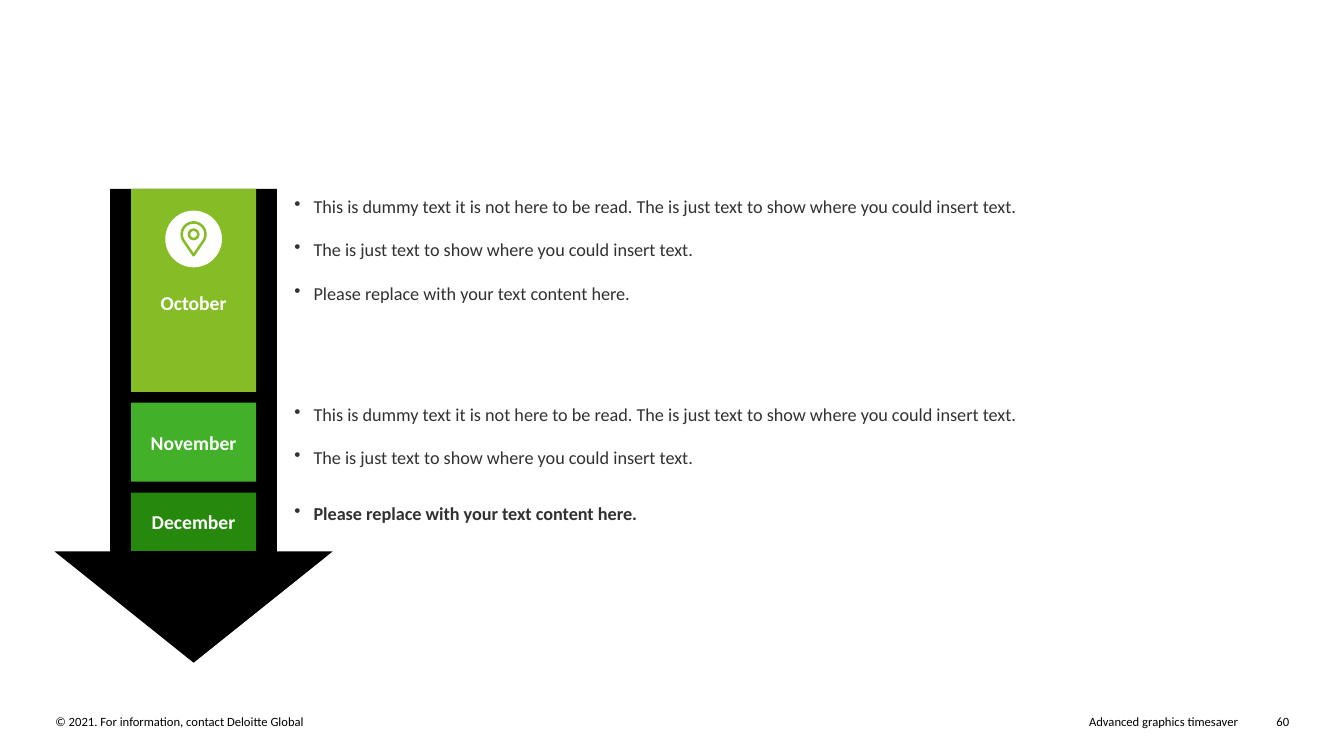
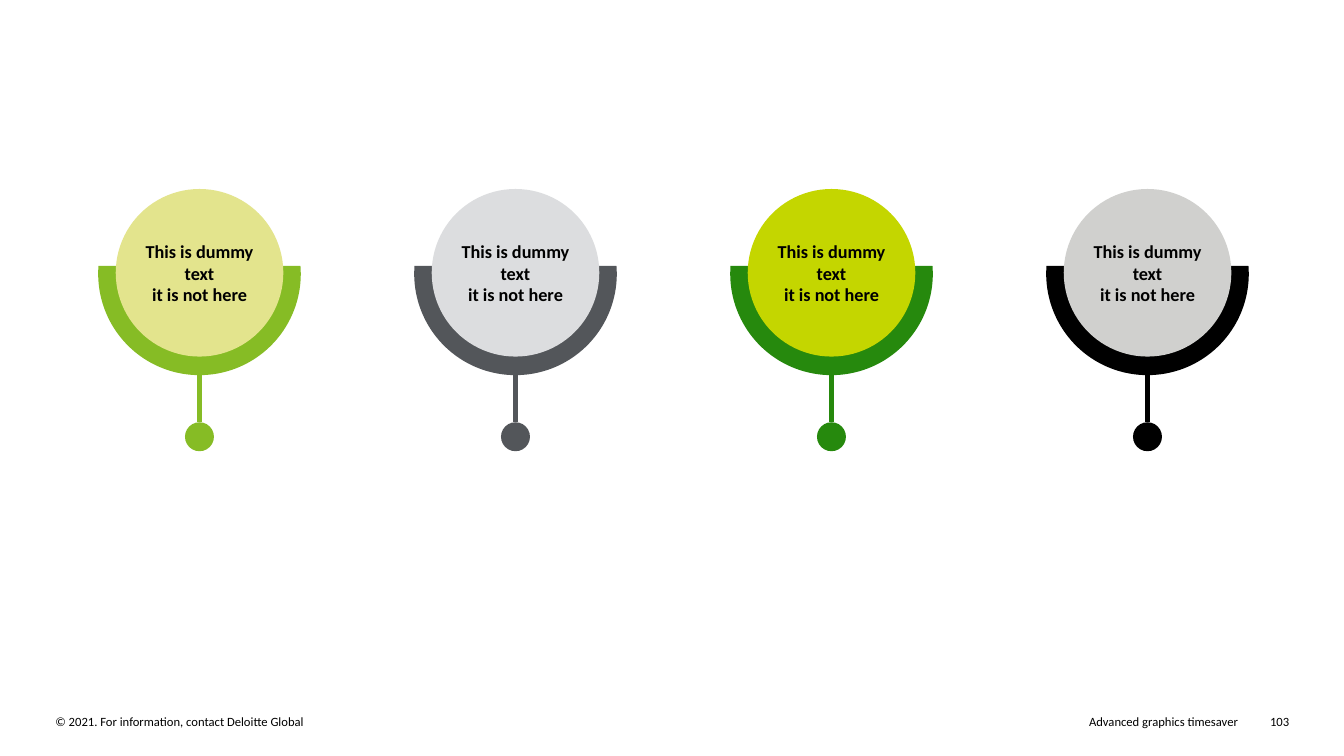
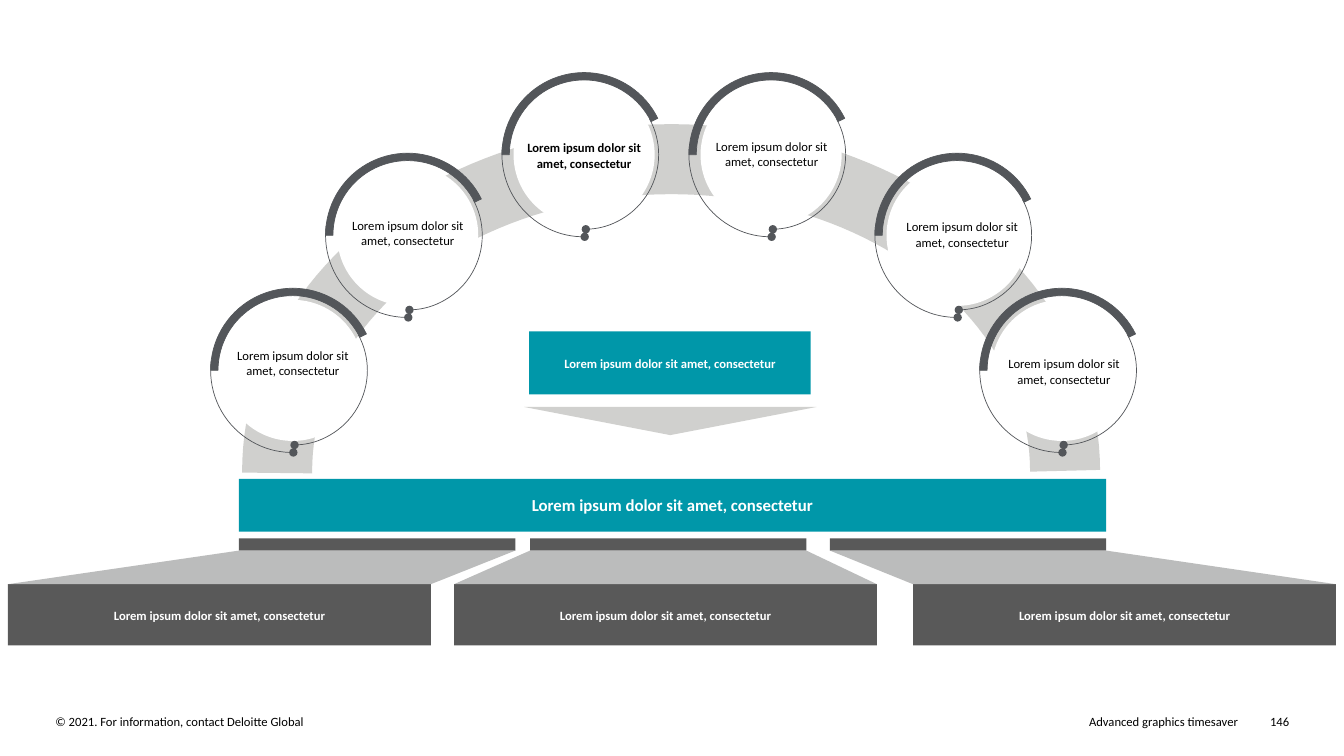
from math import acos, cos, degrees, radians, sin

from lxml import etree
from pptx import Presentation, util as u
from pptx.dml.color import RGBColor
from pptx.enum import shapes, text
from pptx.oxml.ns import qn

# Square grid cells: 160 columns by 90 rows fill the slide.
COLUMNS, ROWS = 160, 90
SLIDE_WIDTH = u.Inches(13.333)
CELL = SLIDE_WIDTH / COLUMNS
PAGE_TOP = 22.5
SHAPE = shapes.MSO_SHAPE
ANCHOR = text.MSO_ANCHOR
ALIGN = text.PP_ALIGN

COLOURS = {
    "black": "000000", "white": "FFFFFF", "ink": "313131",
    "lime": "86BC25", "green": "43B02A", "forest": "26890D",
    "pale lime": "E3E48D", "acid": "C4D600", "teal": "0097A9",
    "slate": "53565A", "charcoal": "595959", "mist": "DCDDDF",
    "silver": "D0D0CE", "ash": "BBBCBC",
}
LOREM = "Lorem ipsum dolor sit amet, consectetur"
DUMMY = [
    "This is dummy text it is not here to be read. The is just text to show where you could insert text.",
    "The is just text to show where you could insert text.",
    "Please replace with your text content here.",
]


def cells(*counts):
    return [u.Emu(round(count * CELL)) for count in counts]


def colour(name):
    return RGBColor.from_string(COLOURS[name])


def assign(target, values):
    for name, value in values.items():
        setattr(target, name, value)


def paint(shape, fill=None, line=None, weight=0.5):
    shape.shadow.inherit = False
    if fill:
        shape.fill.solid()
        shape.fill.fore_color.rgb = colour(fill)
    else:
        shape.fill.background()
    if line:
        shape.line.color.rgb = colour(line)
        shape.line.width = u.Pt(weight)
    else:
        shape.line.fill.background()
    return shape


def preset(page, kind, left, top, width, height, adjust=(), **style):
    shape = page.shapes.add_shape(kind, *cells(left, top, width, height))
    for index, value in enumerate(adjust):
        shape.adjustments[index] = value
    return paint(shape, **style)


def centred(page, kind, x, y, size, adjust=(), **style):
    """Add a preset shape of equal width and height around a centre."""
    return preset(page, kind, x - size / 2, y - size / 2, size, size, adjust, **style)


def outline(page, points, close=True, **style):
    corners = [cells(*point) for point in points]
    builder = page.shapes.build_freeform(*corners[0])
    builder.add_line_segments(corners[1:], close=close)
    return paint(builder.convert_to_shape(), **style)


def curve(x, y, radius_x, radius_y, start, end, steps=90):
    """Return points on an ellipse, clockwise, with angles in degrees."""
    angles = [radians(start + (end - start) * step / steps) for step in range(steps + 1)]
    return [(x + radius_x * cos(angle), y + radius_y * sin(angle)) for angle in angles]


def add_bullet(para):
    properties = para._p.get_or_add_pPr()
    indent = u.Inches(0.19)
    properties.set("marL", str(indent))
    properties.set("indent", str(-indent))
    etree.SubElement(properties, qn("a:buChar")).set("char", "•")


def write(shape, lines, size, ink="black", bold=False, align=ALIGN.CENTER,
          anchor=ANCHOR.MIDDLE, inset=0.0, inset_top=None, leading=None,
          gap=0, bullets=False):
    margin = u.Inches(inset)
    frame = shape.text_frame
    assign(frame, {
        "word_wrap": True, "vertical_anchor": anchor,
        "margin_left": margin, "margin_right": margin, "margin_bottom": margin,
        "margin_top": margin if inset_top is None else u.Inches(inset_top),
    })
    for index, line in enumerate(lines):
        para = frame.add_paragraph() if index else frame.paragraphs[0]
        if bullets:
            add_bullet(para)
        para.alignment = align
        if leading:
            para.line_spacing = leading
        if index and gap:
            para.space_before = u.Pt(gap)
        span = para.add_run()
        span.text = line
        assign(span.font, {"name": "Calibri", "size": u.Pt(size), "bold": bold})
        span.font.color.rgb = colour(ink)


def textbox(page, left, top, width, height, lines, size, **style):
    box = page.shapes.add_textbox(*cells(left, top, width, height))
    write(box, lines, size, anchor=ANCHOR.TOP, **style)


def label(page, left, top, width, height, fill, line, size, **style):
    """Add a filled rectangle with bold white text."""
    box = preset(page, SHAPE.RECTANGLE, left, top, width, height, fill=fill)
    write(box, [line], size, ink="white", bold=True, inset=0.1, **style)


def connector(page, start, end, line, weight):
    link = page.shapes.add_connector(shapes.MSO_CONNECTOR.STRAIGHT, *cells(*start, *end))
    link.line.color.rgb = colour(line)
    link.line.width = u.Pt(weight)
    etree.SubElement(link._element.spPr, qn("a:effectLst"))


def add_page(deck, number):
    page = deck.slides.add_slide(deck.slide_layouts[6])
    footers = [
        (6.6, 70.3, "© 2021. For information, contact Deloitte Global", ALIGN.LEFT),
        (83.16, 64.2, "Advanced graphics timesaver", ALIGN.RIGHT),
        (149.4, 4.08, str(number), ALIGN.RIGHT),
    ]
    for left, width, line, align in footers:
        textbox(page, left, 85, width, 1.8, [line], 9, align=align)
    return page


def pin_icon(page, x, y):
    centred(page, SHAPE.OVAL, x, y, 6.75, fill="white")
    head_y, radius, tip = y - 0.55, 1.41, 2.5
    spread = degrees(acos(radius / tip))
    points = curve(x, head_y, radius, radius, 90 + spread, 450 - spread, 40)
    outline(page, points + [(x, head_y + tip)], line="lime", weight=1.8)
    centred(page, SHAPE.OVAL, x, head_y, 1.12, line="lime", weight=1.8)


def timeline_page(deck):
    page = add_page(deck, 60)
    axis = 23.05
    arrow_width, month_width, month_gap = 33.1, 14.9, 1.3
    preset(page, SHAPE.DOWN_ARROW, axis - arrow_width / 2, PAGE_TOP, arrow_width, 56.4,
           (0.6, 0.4), fill="black")
    months = [
        ("October", 24.15, "lime", 0.34, DUMMY, 23.28, False),
        ("November", 9.4, "green", 0.1, DUMMY[:2], 48, False),
        ("December", 6.95, "forest", 0.1, DUMMY[2:], 59.76, True),
    ]
    top = PAGE_TOP
    for name, height, fill, inset_top, notes, notes_top, bold in months:
        label(page, axis - month_width / 2, top, month_width, height, fill, name, 14,
              inset_top=inset_top)
        textbox(page, 35.04, notes_top, 118.8, 5.23 * len(notes) - 2.6, notes, 13,
                ink="ink", bold=bold, align=ALIGN.LEFT, gap=15.25, bullets=True)
        top += height + month_gap
    pin_icon(page, axis, 28.45)


def pendant(page, x, strong, light):
    """Add a disc in a bowl, with a stem and a dot below."""
    bowl, bowl_y, disc, dot, dot_y, tilt = 24.12, 32.6, 19.95, 3.45, 52, 4.45
    bowl_bottom = bowl_y + bowl / 2
    rim = [angle * 0.6 for angle in (360 - tilt, 180 + tilt)]
    centred(page, SHAPE.CHORD, x, bowl_y, bowl, rim, fill=strong)
    face = centred(page, SHAPE.OVAL, x, PAGE_TOP + disc / 2, disc, fill=light)
    write(face, ["This is dummy text", "it is not here"], 13, bold=True)
    centred(page, SHAPE.OVAL, x, dot_y, dot, fill=strong)
    connector(page, (x, bowl_bottom), (x, dot_y - dot / 2), strong, 3)


def pendants_page(deck):
    page = add_page(deck, 103)
    pairs = [("lime", "pale lime"), ("slate", "mist"), ("forest", "acid"), ("black", "silver")]
    for index, (strong, light) in enumerate(pairs):
        pendant(page, 23.75 + 37.62 * index, strong, light)


def dotted_arc(page, x, y, size, adjust, end):
    arc = centred(page, SHAPE.ARC, x, y, size, adjust, line="slate")
    etree.SubElement(arc.line._get_or_add_ln(), qn(end)).set("type", "oval")


def station(page, x, y):
    ring = 19.56
    centred(page, SHAPE.OVAL, x, y, 16.8, fill="white")
    centred(page, SHAPE.BLOCK_ARC, x, y, ring, (108, 200.22, 0.045), fill="slate", line="slate")
    dotted_arc(page, x, y, 17.76, (198.89, 53.19), "a:tailEnd")
    dotted_arc(page, x, y, ring, (53.75, 112.01), "a:headEnd")


def plinth(page, cap_left, base_left):
    """Add a narrow cap, a wide labelled base and the slope between them."""
    cap_top, cap_bottom, base_top = 64.1, 65.55, 69.55
    cap_width, base_width = 32.9, 50.35
    preset(page, SHAPE.RECTANGLE, cap_left, cap_top, cap_width, cap_bottom - cap_top,
           fill="charcoal")
    label(page, base_left, base_top, base_width, 7.3, "charcoal", LOREM, 9, leading=1.06)
    outline(page, [(cap_left, cap_bottom), (cap_left + cap_width, cap_bottom),
                   (base_left + base_width, base_top), (base_left, base_top)], fill="ash")


def arch_page(deck):
    page = add_page(deck, 146)
    label(page, 28.45, 57, 103.25, 6.3, "teal", LOREM, 12)
    for cap_left, base_left in [(28.45, 0.95), (63.1, 54.05), (98.8, 108.7)]:
        plinth(page, cap_left, base_left)
    outline(page, curve(79.9, 56.05, 46.9, 37.1, 179.6, 360), close=False,
            line="silver", weight=50)
    pointer = preset(page, SHAPE.ISOSCELES_TRIANGLE, 62.4, 48.45, 34.8, 3.35, fill="silver")
    pointer.rotation = 180
    label(page, 63, 39.45, 33.5, 7.5, "teal", LOREM, 9, leading=1.06)
    # Centre of each station, then its caption's centre, top, leading and weight.
    stations = [
        (34.86, 44.1, 34.86, 41.4, None, False),
        (48.54, 28.02, 48.54, 25.92, None, False),
        (69.54, 18.42, 69.54, 16.56, 1.06, True),
        (91.8, 18.42, 91.86, 16.56, None, False),
        (113.94, 28.02, 114.54, 25.92, 1.06, False),
        (126.42, 44.1, 126.66, 42.24, 1.06, False),
    ]
    caption_width = 13.56
    for x, y, caption_x, caption_top, leading, bold in stations:
        station(page, x, y)
        textbox(page, caption_x - caption_width / 2, caption_top, caption_width, 6,
                [LOREM], 9, leading=leading, bold=bold)


def main():
    deck = Presentation()
    deck.slide_width = SLIDE_WIDTH
    deck.slide_height = u.Emu(round(ROWS * CELL))
    for build in (timeline_page, pendants_page, arch_page):
        build(deck)
    deck.save("out.pptx")


if __name__ == "__main__":
    main()
